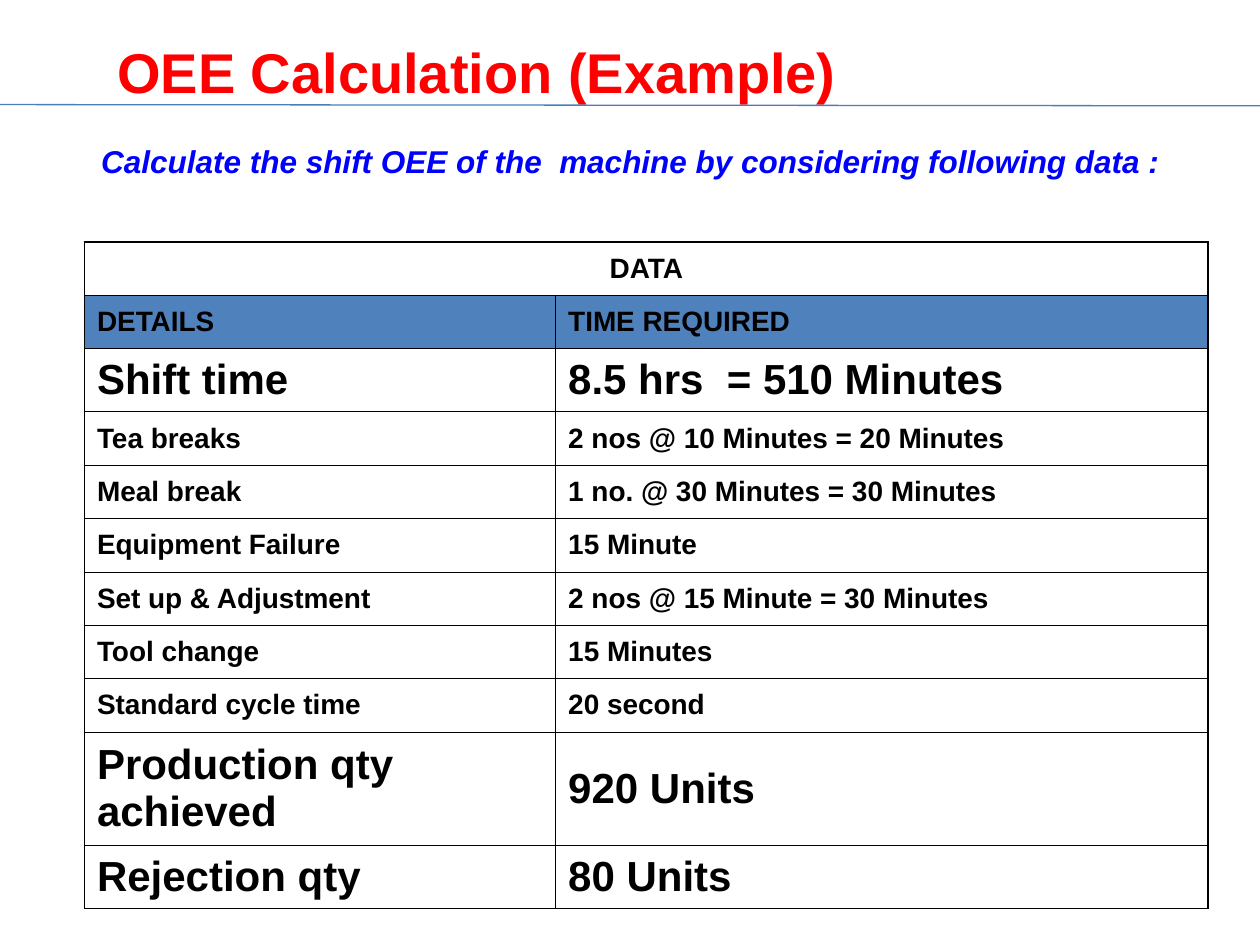
import pptx
import pptx.dml.color
import pptx.enum.shapes
import pptx.enum.text
import pptx.oxml
import pptx.oxml.ns
import pptx.util
from pptx.util import Inches

RED = pptx.dml.color.RGBColor(0xFF, 0x00, 0x00)
BLUE = pptx.dml.color.RGBColor(0x00, 0x00, 0xFF)
BLACK = pptx.dml.color.RGBColor(0x00, 0x00, 0x00)
HEADER_BLUE = pptx.dml.color.RGBColor(0x4F, 0x81, 0xBD)
RULE_BLUE = pptx.dml.color.RGBColor(0x4A, 0x7E, 0xBB)
LEFT = pptx.enum.text.PP_ALIGN.LEFT
CENTER = pptx.enum.text.PP_ALIGN.CENTER
FONT_NAME = "Arial"
OUTER_BORDER = 1.08
INNER_BORDER = 0.45
LARGE_SIZE = 24
SMALL_SIZE = 16
LARGE_ROW_HEIGHTS = {
    "Shift time": Inches(0.5),
    "Production qty achieved": Inches(0.9),
    "Rejection qty": Inches(0.5),
}
TABLE_ROWS = [
    ("DATA", ""),
    ("DETAILS", "TIME REQUIRED"),
    ("Shift time", "8.5 hrs  = 510 Minutes"),
    ("Tea breaks", "2 nos @ 10 Minutes = 20 Minutes"),
    ("Meal break", "1 no. @ 30 Minutes = 30 Minutes"),
    ("Equipment Failure", "15 Minute"),
    ("Set up & Adjustment", "2 nos @ 15 Minute = 30 Minutes"),
    ("Tool change", "15 Minutes"),
    ("Standard cycle time", "20 second"),
    ("Production qty achieved", "920 Units"),
    ("Rejection qty", "80 Units"),
]


def write_text(text_frame, text, size, color=BLACK, italic=False, alignment=LEFT, space_before=0):
    text_frame.word_wrap = True
    paragraph = text_frame.paragraphs[0]
    paragraph.alignment = alignment
    paragraph.space_before = pptx.util.Pt(space_before)
    run = paragraph.add_run()
    run.text = text
    run.font.name = FONT_NAME
    run.font.size = pptx.util.Pt(size)
    run.font.bold = True
    run.font.italic = italic
    run.font.color.rgb = color


def add_title(slide, left, top, width, height):
    title = slide.shapes.title
    title.left, title.top, title.width, title.height = left, top, width, height
    text_frame = title.text_frame
    text_frame.margin_left = Inches(0.35)
    text_frame.vertical_anchor = pptx.enum.text.MSO_ANCHOR.TOP
    text_frame.auto_size = pptx.enum.text.MSO_AUTO_SIZE.NONE
    write_text(text_frame, "OEE Calculation (Example)", 32, color=RED, space_before=20)


def add_instruction(slide, left, top, width, height):
    text_box = slide.shapes.add_textbox(left, top, width, height)
    write_text(
        text_box.text_frame,
        "Calculate the shift OEE of the  machine by considering following data :",
        18, color=BLUE, italic=True, alignment=CENTER, space_before=11.2,
    )


def set_borders(cell, widths):
    cell_properties = cell._tc.get_or_add_tcPr()
    for index, (side, width) in enumerate(widths.items()):
        border = pptx.oxml.parse_xml(
            f'<a:ln{side} {pptx.oxml.ns.nsdecls("a")} w="{pptx.util.Pt(width)}">'
            f'<a:solidFill><a:srgbClr val="{BLACK}"/></a:solidFill></a:ln{side}>'
        )
        cell_properties.insert(index, border)


def add_data_table(slide, left, top, width, height):
    row_count = len(TABLE_ROWS)
    table = slide.shapes.add_table(row_count, 2, left, top, width, height).table
    table.columns[0].width = Inches(3.74)
    table.columns[1].width = width - Inches(3.74)
    large_height = sum(LARGE_ROW_HEIGHTS.values())
    small_height = (height - large_height) // (row_count - len(LARGE_ROW_HEIGHTS))
    table.cell(0, 0).merge(table.cell(0, 1))

    for row_index, row_texts in enumerate(TABLE_ROWS):
        label = row_texts[0]
        is_large = label in LARGE_ROW_HEIGHTS
        table.rows[row_index].height = LARGE_ROW_HEIGHTS.get(label, small_height)
        for column_index, text in enumerate(row_texts):
            cell = table.cell(row_index, column_index)
            cell.vertical_anchor = pptx.enum.text.MSO_ANCHOR.MIDDLE
            if row_index == 1:
                cell.fill.solid()
                cell.fill.fore_color.rgb = HEADER_BLUE
            else:
                cell.fill.background()
            is_outer = {
                "L": column_index == 0,
                "R": column_index == 1 or row_index == 0,
                "T": row_index == 0,
                "B": row_index == row_count - 1,
            }
            set_borders(cell, {
                side: OUTER_BORDER if outer else INNER_BORDER
                for side, outer in is_outer.items()
            })
            if text:
                write_text(
                    cell.text_frame, text,
                    LARGE_SIZE if is_large else SMALL_SIZE,
                    alignment=CENTER if row_index == 0 else LEFT,
                    space_before=6 if is_large else 4,
                )


def add_title_rule(slide, left, top, width, drop):
    connector = slide.shapes.add_connector(
        pptx.enum.shapes.MSO_CONNECTOR.STRAIGHT, left, top, left + width, top + drop
    )
    connector.line.color.rgb = RULE_BLUE
    connector.line.width = pptx.util.Pt(0.75)
    connector._element.spPr.append(
        pptx.oxml.parse_xml(f'<a:effectLst {pptx.oxml.ns.nsdecls("a")}/>')
    )


def main():
    presentation = pptx.Presentation()
    presentation.slide_width = Inches(10)
    presentation.slide_height = Inches(7.5)
    slide = presentation.slides.add_slide(presentation.slide_layouts[5])
    add_title(slide, Inches(0.58), Inches(0.25), Inches(6.28), Inches(0.64))
    add_instruction(slide, Inches(0.42), Inches(1.08), Inches(9.17), Inches(0.4))
    add_data_table(slide, Inches(0.67), Inches(1.92), Inches(8.92), Inches(5.29))
    add_title_rule(slide, Inches(0), Inches(0.83), presentation.slide_width, Inches(0.01))
    presentation.save("out.pptx")


if __name__ == "__main__":
    main()
